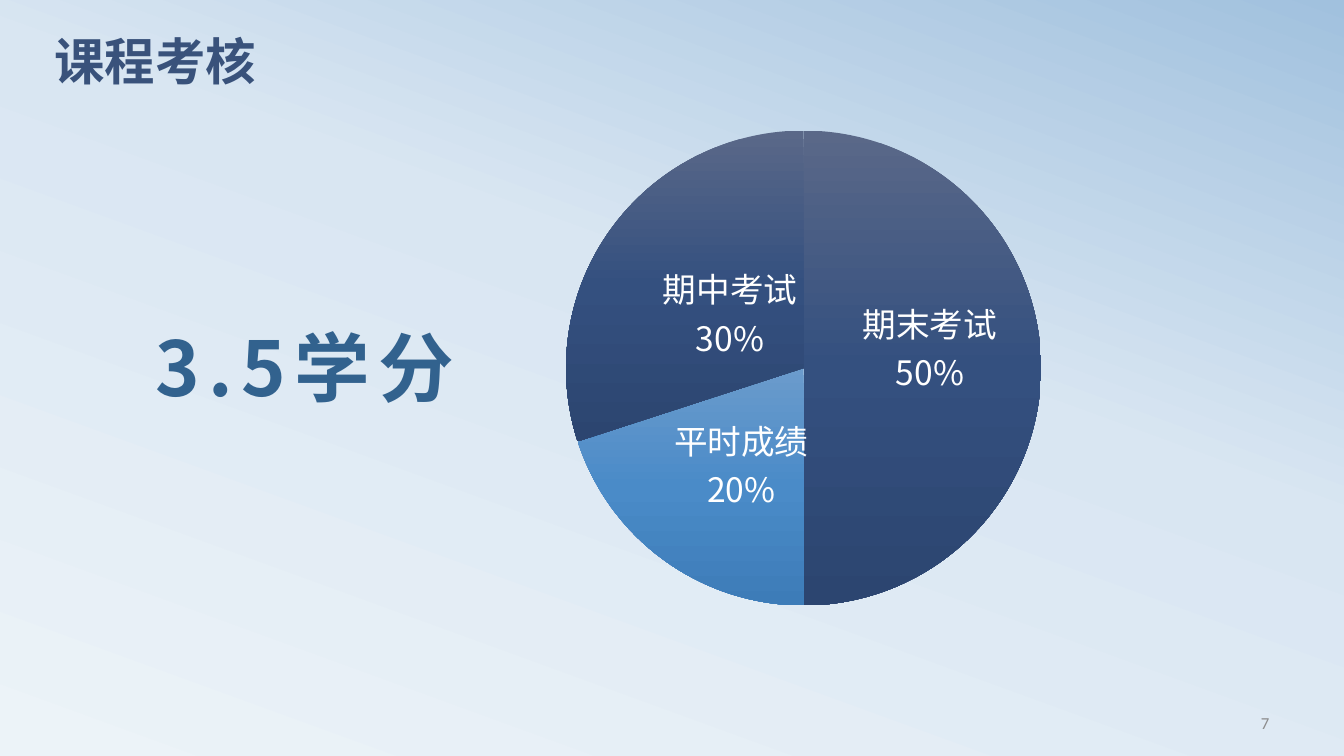
import copy
import pptx
import pptx.chart.data
import pptx.dml.color
import pptx.enum.chart
import pptx.enum.text
import pptx.oxml
import pptx.oxml.ns
import pptx.util
from pptx.util import Inches


def set_color(color_format, value):
    color_format.rgb = pptx.dml.color.RGBColor.from_string(value)


def set_gradient(fill, owner, colors, positions, angle):
    fill.gradient()
    fill.gradient_angle = angle
    stop_list = owner.xpath(".//a:gsLst")[-1]
    stop_list.append(copy.deepcopy(stop_list[-1]))
    for stop, color, position in zip(fill.gradient_stops, colors, positions):
        set_color(stop.color, color)
        stop.position = position


presentation = pptx.Presentation()
presentation.slide_width = Inches(13.33)
presentation.slide_height = Inches(7.5)
slide = presentation.slides.add_slide(presentation.slide_layouts[5])
set_gradient(slide.background.fill, slide.element,
             ["ECF3F8", "D9E6F2", "A1C1DE"], [0, 0.58, 1], 70)

title = slide.shapes.title
title.left, title.top = Inches(0.44), Inches(0.36)
title.width, title.height = Inches(12), Inches(0.94)
credits = slide.shapes.add_textbox(Inches(1.44), Inches(3.24), Inches(3.45), Inches(1.18))
page_number = slide.shapes.add_textbox(Inches(9.58), Inches(6.97), Inches(3.11), Inches(0.4))

TOP, MIDDLE = pptx.enum.text.MSO_ANCHOR.TOP, pptx.enum.text.MSO_ANCHOR.MIDDLE
LEFT, RIGHT = pptx.enum.text.PP_ALIGN.LEFT, pptx.enum.text.PP_ALIGN.RIGHT
for shape, text, font_name, size, color, bold, spacing, anchor, alignment in [
    (title, "课程考核", "Calibri", 36, "39527B", True, 0.8, TOP, LEFT),
    (credits, "3.5学分", "Noto Sans CJK SC", 54, "32628E", True, 0.9, TOP, LEFT),
    (page_number, "7", "Calibri", 12, "8C8C8C", False, 1.0, MIDDLE, RIGHT),
]:
    frame = shape.text_frame
    frame.word_wrap = True
    frame.auto_size = pptx.enum.text.MSO_AUTO_SIZE.NONE
    frame.vertical_anchor = anchor
    frame.text = text
    paragraph = frame.paragraphs[0]
    paragraph.alignment = alignment
    paragraph.line_spacing = spacing
    paragraph.font.name = font_name
    paragraph.font.size = pptx.util.Pt(size)
    paragraph.font.bold = bold
    set_color(paragraph.font.color, color)
credits.text_frame.paragraphs[0].runs[0]._r.get_or_add_rPr().set("spc", "600")

grades = [
    ("期末考试", 50, ["5A6888", "34507F", "2C4570"], 0.01, -0.03),
    ("平时成绩", 20, ["6B9BCC", "4A8BC8", "3D7CB8"], 0.01, 0),
    ("期中考试", 30, ["5A6888", "34507F", "2C4570"], 0.03, 0.02),
]
chart_data = pptx.chart.data.CategoryChartData()
chart_data.categories = [grade[0] for grade in grades]
chart_data.add_series("Series 1", [grade[1] for grade in grades])
chart = slide.shapes.add_chart(
    pptx.enum.chart.XL_CHART_TYPE.PIE,
    Inches(4.38), Inches(0.36), Inches(7.48), Inches(6.93), chart_data).chart
chart.has_legend = False
chart.has_title = False
chart.font.name = "Calibri"
chart.font.size = pptx.util.Pt(18)
set_color(chart.font.color, "404040")
plot = chart.plots[0]
plot.vary_by_categories = True
series = plot.series[0]

layout_xml = "<c:layout %s><c:manualLayout>%s</c:manualLayout></c:layout>"
namespace = pptx.oxml.ns.nsdecls("c")
plot_area = chart.element.xpath(".//c:plotArea")[0]
for old_layout in plot_area.xpath("./c:layout"):
    plot_area.remove(old_layout)
plot_area.insert(0, pptx.oxml.parse_xml(layout_xml % (namespace, (
    '<c:layoutTarget val="inner"/><c:xMode val="edge"/><c:yMode val="edge"/>'
    '<c:x val="0.165"/><c:y val="0.135"/><c:w val="0.63"/><c:h val="0.68"/>'))))

for index, (category, percent, colors, offset_x, offset_y) in enumerate(grades):
    point = series.points[index]
    set_gradient(point.format.fill, series._element, colors, [0, 0.5, 1], 270)
    point.format.line.fill.background()
    label = point.data_label
    label.text_frame.text = f"{category}\n{percent}%"
    for paragraph in label.text_frame.paragraphs:
        font = paragraph.runs[0].font
        font.name = "Noto Sans CJK SC"
        font.size = pptx.util.Pt(24)
        font.bold = False
        set_color(font.color, "FFFFFF")
    label.position = pptx.enum.chart.XL_LABEL_POSITION.CENTER
    label_element = series._element.xpath(".//c:dLbl")[index]
    label_element.insert(1, pptx.oxml.parse_xml(layout_xml % (
        namespace, f'<c:x val="{offset_x}"/><c:y val="{offset_y}"/>')))

presentation.save("out.pptx")
